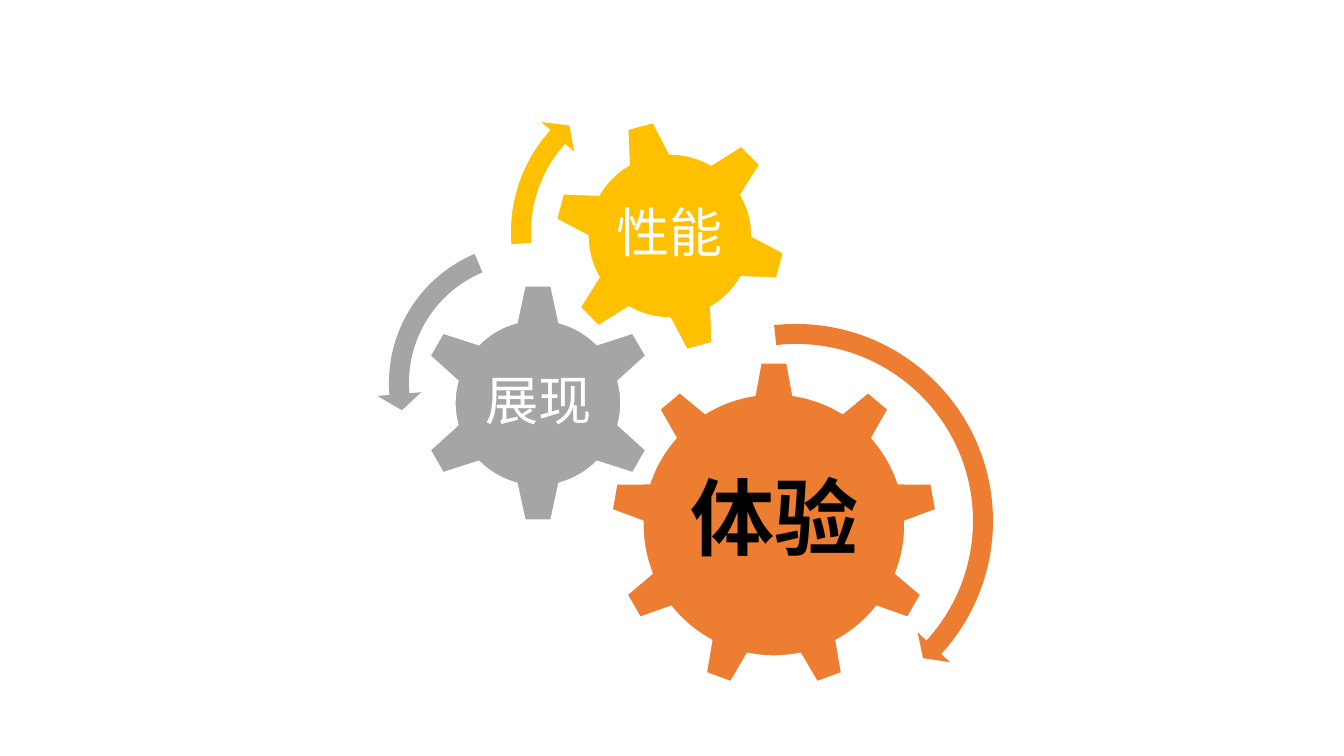
from dataclasses import dataclass
from math import asin, ceil, cos, degrees, floor, radians, sin, tan

from lxml.etree import SubElement
from pptx import Presentation
from pptx.dml.color import RGBColor
from pptx.enum.text import MSO_ANCHOR, PP_ALIGN
from pptx.oxml.ns import qn
from pptx.util import Pt

PX = 914400 / 100.8


@dataclass(frozen=True)
class Theme:
    font: str = "Noto Sans CJK SC"
    orange: str = "ED7D31"
    grey: str = "A5A5A5"
    yellow: str = "FFC000"
    white: str = "FFFFFF"
    black: str = "000000"
    large: int = 60
    small: int = 38


def emu(px):
    return round(px * PX)


def polar(center, radius, angle):
    """Point at an angle in degrees, clockwise from the top."""
    turn = radians(angle)
    return center[0] + radius * sin(turn), center[1] - radius * cos(turn)


def curve(center, radius, start, end):
    """Two control points and the end point of one Bezier arc."""
    sweep = radians(end - start)
    reach = 4 / 3 * tan(sweep / 4)
    lean = degrees(asin(reach / (1 + reach ** 2) ** 0.5))
    control = radius * (1 + reach ** 2) ** 0.5
    return (polar(center, control, start + lean),
            polar(center, control, end - lean),
            polar(center, radius, end))


def arc(center, radius, start, end):
    """Start point, then one curve for each quadrant that the arc passes."""
    low, high = sorted((start, end))
    quadrants = range(floor(low / 90) + 1, ceil(high / 90))
    stops = sorted([low, high] + [90 * quadrant for quadrant in quadrants],
                   reverse=start > end)
    return [polar(center, radius, start)] + [
        curve(center, radius, *pair) for pair in zip(stops, stops[1:])]


class GearSlide:
    def __init__(self, presentation, theme):
        self.theme = theme
        self.slide = presentation.slides.add_slide(presentation.slide_layouts[6])

    def outline(self, parts, color):
        """Closed filled shape; a part is a point or the three points of a curve."""
        vertices, curve_starts = [], []
        for part in parts:
            if len(part) == 3:
                curve_starts.append(len(vertices))
                vertices += part
            else:
                vertices.append(part)
        first, *rest = [(emu(x), emu(y)) for x, y in vertices]
        builder = self.slide.shapes.build_freeform(*first, scale=1.0)
        builder.add_line_segments(rest, close=True)
        shape = builder.convert_to_shape()
        self.bend(shape, curve_starts)
        shape.shadow.inherit = False
        shape.fill.solid()
        shape.fill.fore_color.rgb = RGBColor.from_string(color)
        shape.line.fill.background()
        return shape

    def bend(self, shape, curve_starts):
        """Merge three straight segments into one Bezier curve at each start."""
        contour = next(shape._element.iter(qn("a:path")))
        segments = list(contour)
        for start in curve_starts:
            bezier = SubElement(contour, qn("a:cubicBezTo"))
            segments[start].addprevious(bezier)
            for segment in segments[start:start + 3]:
                bezier.append(segment[0])
                contour.remove(segment)

    def gear(self, center, teeth, body, tip, root_half, color, rotation=0):
        """Round body with evenly spaced teeth that narrow towards the tip."""
        tip_half = 13
        pitch = 360 / teeth
        root = degrees(asin(root_half / body))
        edge = degrees(asin(tip_half / tip))
        tip_radius = tip / cos(radians(edge))
        parts = []
        for tooth in range(teeth):
            angle = tooth * pitch
            start, end = angle + root, angle + pitch - root
            parts += [polar(center, tip_radius, angle - edge),
                      polar(center, tip_radius, angle + edge),
                      polar(center, body, start),
                      curve(center, body, start, end)]
        shape = self.outline(parts, color)
        shape.rotation = rotation
        shape.line.color.rgb = RGBColor.from_string(self.theme.white)
        shape.line.width = Pt(1)

    def curved_arrow(self, center, radius, start, end, tip, color):
        """Band along an arc; the head runs from angle end to angle tip."""
        band, head = 10, 22
        parts = arc(center, radius + band, start, end)
        parts += [polar(center, radius + head, end),
                  polar(center, radius, tip),
                  polar(center, radius - head, end)]
        parts += arc(center, radius - band, end, start)
        self.outline(parts, color)

    def label(self, text, box, size, color, inset, bold=False):
        shape = self.slide.shapes.add_textbox(*map(emu, box))
        frame = shape.text_frame
        frame.word_wrap = True
        frame.vertical_anchor = MSO_ANCHOR.MIDDLE
        frame.margin_left = frame.margin_right = emu(inset)
        frame.margin_top = frame.margin_bottom = emu(inset)
        frame.text = text
        paragraph = frame.paragraphs[0]
        paragraph.alignment = PP_ALIGN.CENTER
        paragraph.line_spacing = 0.9
        run = paragraph.runs[0]
        run.font.size = Pt(size)
        run.font.bold = bold
        run.font.color.rgb = RGBColor.from_string(color)
        run.font.name = self.theme.font
        east_asian = SubElement(run.font._element, qn("a:ea"))
        east_asian.set("typeface", self.theme.font)


def main():
    presentation = Presentation()
    presentation.slide_width, presentation.slide_height = emu(1344), emu(756)
    theme = Theme()
    page = GearSlide(presentation, theme)

    page.gear((774, 525), 9, 131, 162, 19, theme.orange)
    page.label("体验", (676, 455, 197, 134), theme.large, theme.black, 8, bold=True)
    page.gear((538, 403), 6, 83, 117, 21, theme.grey)
    page.label("展现", (479, 361, 119, 85), theme.small, theme.white, 5)
    page.gear((670, 236), 6, 82, 114, 21, theme.yellow, rotation=-15)
    page.label("性能", (604, 193, 131, 85), theme.small, theme.white, 5)

    page.curved_arrow((796, 521), 187, -6.4, 132.5, 137.2, theme.orange)
    page.curved_arrow((529, 383), 130, -22.8, -94.9, -102.1, theme.grey)
    page.curved_arrow((662, 232), 141, -94.7, -47.6, -41, theme.yellow)

    presentation.save("out.pptx")


if __name__ == "__main__":
    main()
